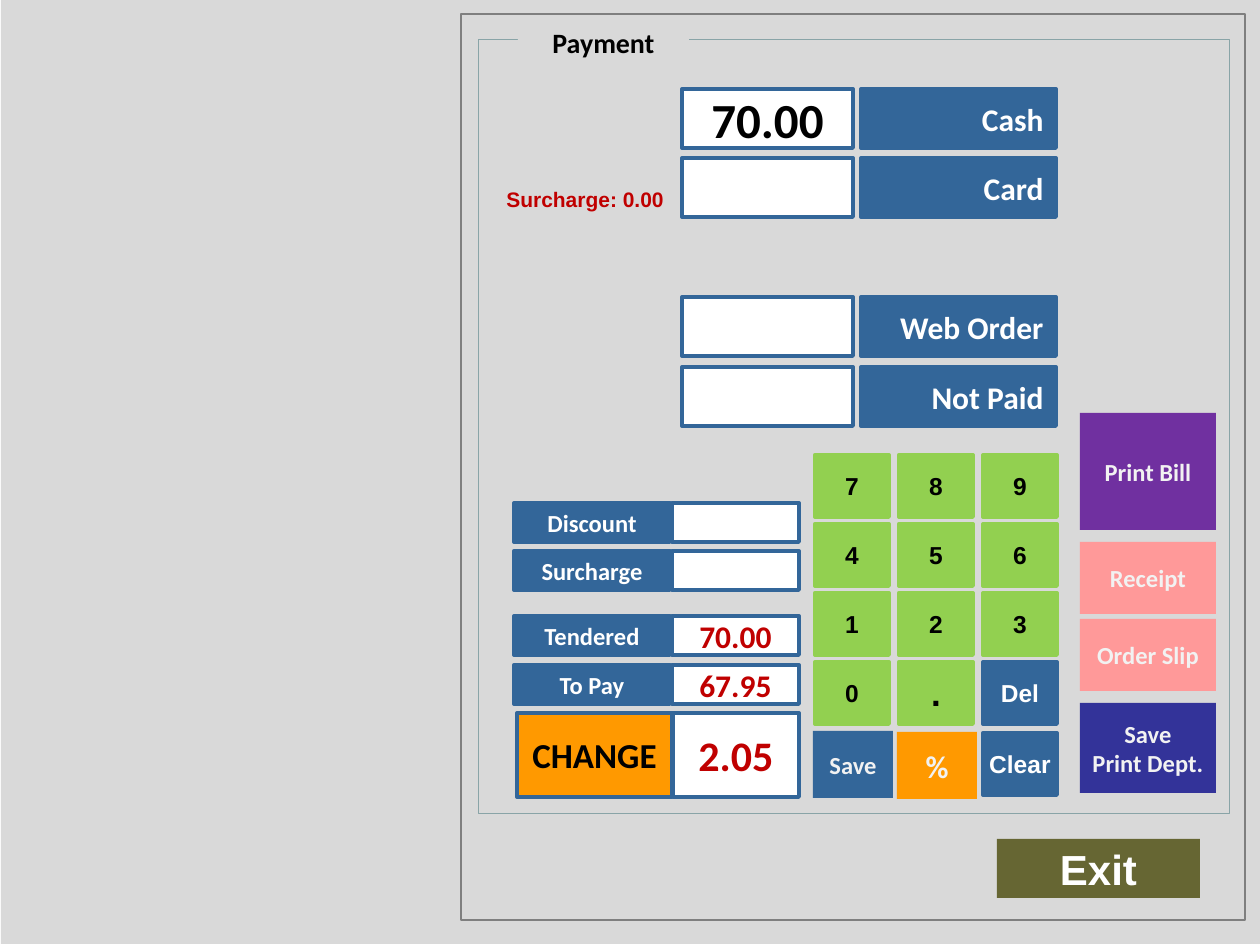
from pptx import Presentation
from pptx.dml.color import RGBColor
from pptx.enum import shapes, text
from pptx.util import Emu, Pt

PX = 914400 // 126

BLACK = RGBColor(0x00, 0x00, 0x00)
WHITE = RGBColor(0xFF, 0xFF, 0xFF)
OFF_WHITE = RGBColor(0xF2, 0xF2, 0xF2)
GREY = RGBColor(0xD9, 0xD9, 0xD9)
PANEL_GREY = RGBColor(0x7F, 0x7F, 0x7F)
FRAME_GREY = RGBColor(0x89, 0xA4, 0xA7)
BLUE = RGBColor(0x33, 0x66, 0x99)
NAVY = RGBColor(0x33, 0x33, 0x99)
GREEN = RGBColor(0x92, 0xD0, 0x50)
ORANGE = RGBColor(0xFF, 0x99, 0x00)
RED = RGBColor(0xC0, 0x00, 0x00)
PURPLE = RGBColor(0x70, 0x30, 0xA0)
PINK = RGBColor(0xFF, 0x99, 0x99)
OLIVE = RGBColor(0x66, 0x66, 0x33)

# Content: payment methods (label, amount, top)
METHODS = [("Cash", "70.00", 89), ("Card", "", 158),
           ("Web Order", "", 297), ("Not Paid", "", 367)]
# Totals (label, amount, top)
TOTALS = [("Discount", "", 503), ("Surcharge", "", 551),
          ("Tendered", "70.00", 616), ("To Pay", "67.95", 665)]
KEYPAD = [["7", "8", "9"], ["4", "5", "6"], ["1", "2", "3"], ["0", ".", "Del"]]
# Action buttons (label, top, height, colour)
ACTIONS = [("Print Bill", 413, 117, PURPLE), ("Receipt", 542, 72, PINK),
           ("Order Slip", 619, 72, PINK), ("Save\nPrint Dept.", 703, 90, NAVY)]

prs = Presentation()
prs.slide_width, prs.slide_height = Emu(1260 * PX), Emu(945 * PX)
slide = prs.slides.add_slide(prs.slide_layouts[5])


def write(holder, content, size=14, font="Calibri", color=WHITE,
          align=text.PP_ALIGN.CENTER, anchor=text.MSO_ANCHOR.MIDDLE, wrap=False):
    frame = holder.text_frame
    frame.text = content
    frame.word_wrap = wrap
    frame.vertical_anchor = anchor
    for line in frame.paragraphs:
        line.alignment = align
        line.font.size = Pt(size)
        line.font.name = font
        line.font.bold = True
        line.font.color.rgb = color


def box(left, top, width, height, content="", fill=None, border=None,
        border_width=2.25, **text_format):
    rect = slide.shapes.add_shape(
        shapes.MSO_SHAPE.RECTANGLE, *(Emu(n * PX) for n in (left, top, width, height)))
    rect.shadow.inherit = False
    if fill is None:
        rect.fill.background()
    else:
        rect.fill.solid()
        rect.fill.fore_color.rgb = fill
    if border is None:
        rect.line.fill.background()
    else:
        rect.line.color.rgb = border
        rect.line.width = Pt(border_width)
    if content:
        write(rect, content, **text_format)


# Backdrop, panel and group frame
box(1, -1, 1260, 945, fill=GREY)
box(461, 14, 784, 906, border=PANEL_GREY, border_width=1.5)
box(478, 39, 752, 775, border=FRAME_GREY, border_width=0.5)

# Title set into the frame's top edge
title = slide.shapes.title
title.left, title.top, title.width, title.height = (
    Emu(n * PX) for n in (518, 19, 171, 47))
title.fill.solid()
title.fill.fore_color.rgb = GREY
write(title, "Payment", size=16, color=BLACK, anchor=text.MSO_ANCHOR.TOP, wrap=True)
slide.shapes._spTree.append(title._element)  # bring in front of the frame

# Payment methods
for label, amount, top in METHODS:
    box(861, top, 195, 59, label, fill=BLUE, border=BLUE, size=18,
        align=text.PP_ALIGN.RIGHT)
    box(682, top, 171, 59, amount, fill=WHITE, border=BLUE, size=28, color=BLACK)

surcharge = slide.shapes.add_textbox(*(Emu(n * PX) for n in (494, 180, 183, 38)))
write(surcharge, "Surcharge: 0.00", size=12, font="Arial", color=RED,
      align=text.PP_ALIGN.LEFT, anchor=text.MSO_ANCHOR.TOP)

# Totals
for label, amount, top in TOTALS:
    box(514, top, 156, 39, label, fill=BLUE, border=BLUE)
    box(672, top, 127, 39, amount, fill=WHITE, border=BLUE, size=18, color=RED)
box(517, 713, 155, 84, "CHANGE", fill=ORANGE, border=BLUE, size=20, color=BLACK)
box(673, 713, 126, 84, "2.05", fill=WHITE, border=BLUE, size=24, color=RED)

# Keypad
for row, keys in enumerate(KEYPAD):
    for col, key in enumerate(keys):
        shade, ink = (BLUE, WHITE) if key == "Del" else (GREEN, BLACK)
        box(815 + 84 * col, 455 + 69 * row, 74, 62, key, fill=shade, border=shade,
            size=20 if key == "." else 14, font="Arial", color=ink)
box(813, 731, 80, 67, "Save", fill=BLUE, color=OFF_WHITE)
box(897, 732, 80, 67, "%", fill=ORANGE, size=18, color=OFF_WHITE)
box(983, 733, 74, 62, "Clear", fill=BLUE, border=BLUE, font="Arial")

# Action buttons
for label, top, height, shade in ACTIONS:
    box(1080, top, 136, height, label, fill=shade, color=OFF_WHITE)
box(997, 839, 203, 59, "Exit", fill=OLIVE, size=24, font="Arial")

prs.save("out.pptx")
